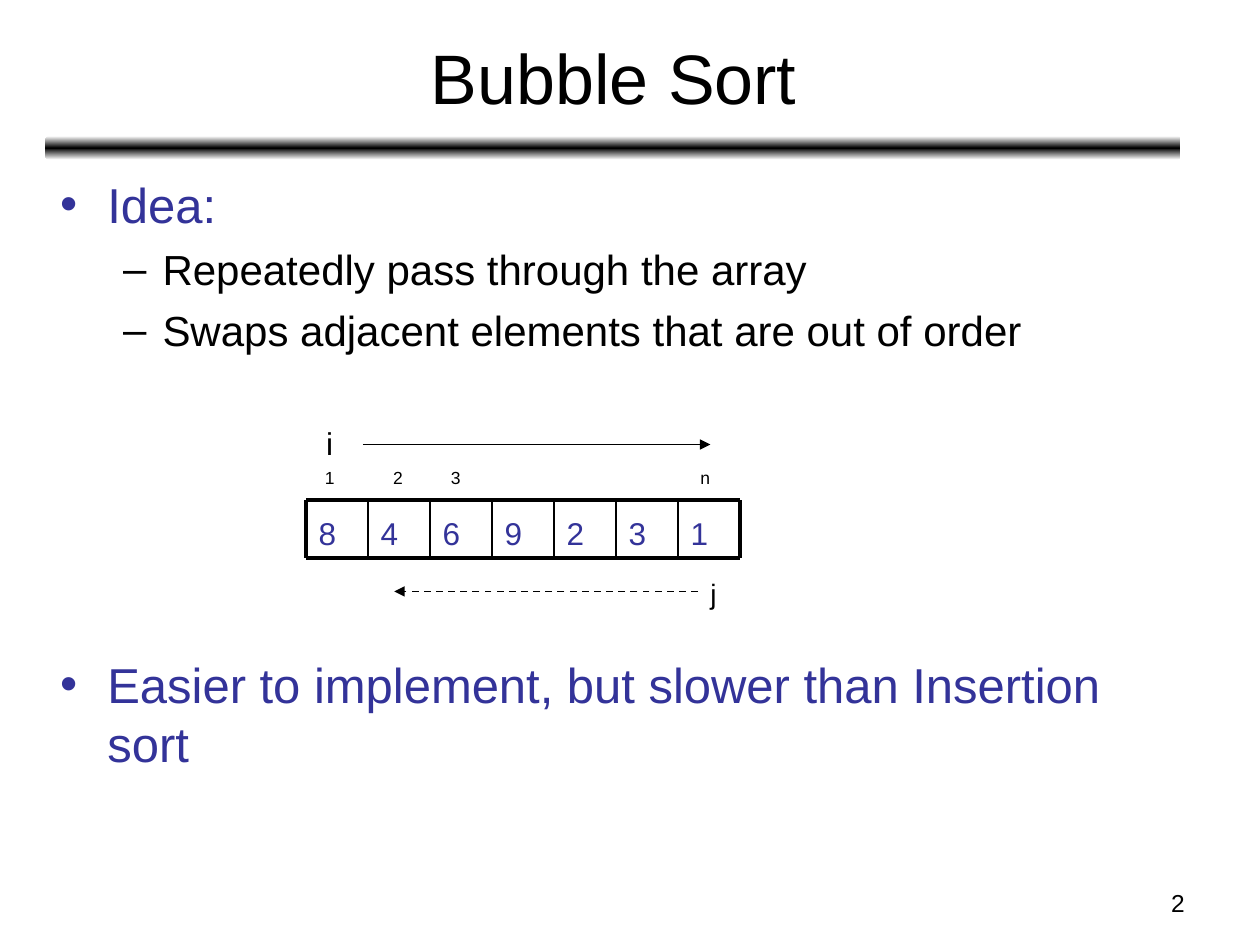
import copy

import lxml.etree
import pptx
import pptx.dml.color
import pptx.enum.dml
import pptx.enum.shapes
import pptx.enum.text
import pptx.oxml.ns
import pptx.util

Pt = pptx.util.Pt
qn = pptx.oxml.ns.qn
ALIGN = pptx.enum.text.PP_ALIGN
ANCHOR = pptx.enum.text.MSO_ANCHOR
DASH = pptx.enum.dml.MSO_LINE.DASH
BLACK = pptx.dml.color.RGBColor(0, 0, 0)
WHITE = pptx.dml.color.RGBColor(255, 255, 255)
INDIGO = pptx.dml.color.RGBColor(0x33, 0x33, 0x99)
FONT = "Arial"


def add_bullet(para, mark, margin, hang):
    """Give a paragraph a hanging bullet, with lengths in points."""
    props = para._p.get_or_add_pPr()
    props.set("marL", str(Pt(margin)))
    props.set("indent", str(-Pt(hang)))
    lxml.etree.SubElement(props, qn("a:buFont")).set("typeface", FONT)
    lxml.etree.SubElement(props, qn("a:buChar")).set("char", mark)


def write(para, text, size, color=BLACK, align=ALIGN.LEFT, before=0):
    """Fill a paragraph with one formatted span of text."""
    para.alignment = align
    para.space_before = Pt(before)
    span = para.add_run()
    span.text = text
    span.font.name = FONT
    span.font.size = Pt(size)
    span.font.color.rgb = color


def add_frame(page, left, top, width, height, anchor=ANCHOR.TOP, wrap=True):
    """Add an empty text box and return its text frame."""
    box = page.shapes.add_textbox(Pt(left), Pt(top), Pt(width), Pt(height))
    box.text_frame.word_wrap = wrap
    box.text_frame.vertical_anchor = anchor
    return box.text_frame


def add_text(page, text, left, top, width, height, size, color=BLACK,
             align=ALIGN.LEFT, anchor=ANCHOR.TOP, wrap=True):
    """Add a text box with a single paragraph."""
    frame = add_frame(page, left, top, width, height, anchor, wrap)
    write(frame.paragraphs[0], text, size, color, align)


def add_line(page, start, end, weight, arrow=False, dash=None):
    """Draw a straight black line between two points."""
    line = page.shapes.add_connector(
        pptx.enum.shapes.MSO_CONNECTOR.STRAIGHT, *map(Pt, start + end))
    line.line.color.rgb = BLACK
    line.line.width = Pt(weight)
    if dash:
        line.line.dash_style = dash
    if arrow:
        outline = line.line._get_or_add_ln()
        lxml.etree.SubElement(outline, qn("a:tailEnd")).set("type", "triangle")
    lxml.etree.SubElement(line._element.spPr, qn("a:effectLst"))


def add_heading(page, left, top, width, height):
    """Add the title and the shaded bar below it."""
    add_text(page, "Bubble Sort", left, top, width, height, 40,
             align=ALIGN.CENTER, anchor=ANCHOR.MIDDLE)
    bar = page.shapes.add_shape(
        pptx.enum.shapes.MSO_SHAPE.ROUNDED_RECTANGLE,
        Pt(left - 0.7), Pt(top + height - 1.2), Pt(width + 0.7), Pt(13.5))
    bar.shadow.inherit = False
    bar.line.fill.background()
    bar.fill.gradient()
    bar.fill.gradient_angle = 90
    stop_list = next(bar._element.spPr.iter(qn("a:gsLst")))
    stop_list.append(copy.deepcopy(stop_list[-1]))
    shades = zip(bar.fill.gradient_stops, (0, 0.5, 1), (WHITE, BLACK, WHITE))
    for stop, position, color in shades:
        stop.position = position
        stop.color.rgb = color


def add_body(page, left, top, width, height):
    """Add the bulleted text, leaving room for the array diagram."""
    frame = add_frame(page, left, top, width, height)
    points = (
        ("Idea:", 0, 0),
        ("Repeatedly pass through the array", 1, 6),
        ("Swaps adjacent elements that are out of order", 1, 6),
        ("Easier to implement, but slower than Insertion sort", 0, 171),
    )
    levels = (("•", 27, 27, 28, INDIGO), ("–", 58.5, 22.5, 24, BLACK))
    for index, (text, level, before) in enumerate(points):
        para = frame.add_paragraph() if index else frame.paragraphs[0]
        mark, margin, hang, size, color = levels[level]
        para.level = level
        add_bullet(para, mark, margin, hang)
        write(para, text, size, color, before=before)


def add_array(page, left, top, width, height):
    """Draw the array cells with their values and index labels."""
    values = "8469231"
    cell = width / len(values)
    right, bottom = left + width, top + height
    for index, value in enumerate(values):
        add_text(page, value, left + index * cell, top, cell, height, 18,
                 INDIGO, anchor=ANCHOR.BOTTOM)
    for y in (top, bottom):
        add_line(page, (left, y), (right, y), 2.25)
    for index in range(len(values) + 1):
        x = left + index * cell
        weight = 2.25 if index in (0, len(values)) else 1
        add_line(page, (x, top), (x, bottom), weight)
    for label, offset in (("1", 3.6), ("2", 42.5), ("3", 75.6), ("n", 218.2)):
        add_text(page, label, left + offset, top - 22.5, 18, 19.5, 10)


def add_pointers(page, left, top, width, height):
    """Draw the i and j labels with the arrows of their directions."""
    right, bottom = left + width, top + height
    add_text(page, "i", left, top, 18, 29, 18, wrap=False)
    add_line(page, (left + 28, top + 15), (right - 11, top + 15), 0.75, True)
    add_text(page, "j", right - 18, bottom - 27, 18, 27, 16, wrap=False)
    add_line(page, (right - 18, bottom - 15), (left + 46, bottom - 15), 1,
             True, DASH)


def main():
    """Build the slide and save it."""
    deck = pptx.Presentation()
    deck.slide_width, deck.slide_height = Pt(720), Pt(540)
    page = deck.slides.add_slide(deck.slide_layouts[6])
    add_heading(page, 26.7, 8, 648, 71)
    add_body(page, 27.3, 96, 648, 400)
    add_array(page, 175, 285.8, 248, 33.2)
    add_pointers(page, 179.3, 239, 237.6, 114)
    add_text(page, "2", 516, 504, 168, 25, 14, align=ALIGN.RIGHT)
    deck.save("out.pptx")


if __name__ == "__main__":
    main()
